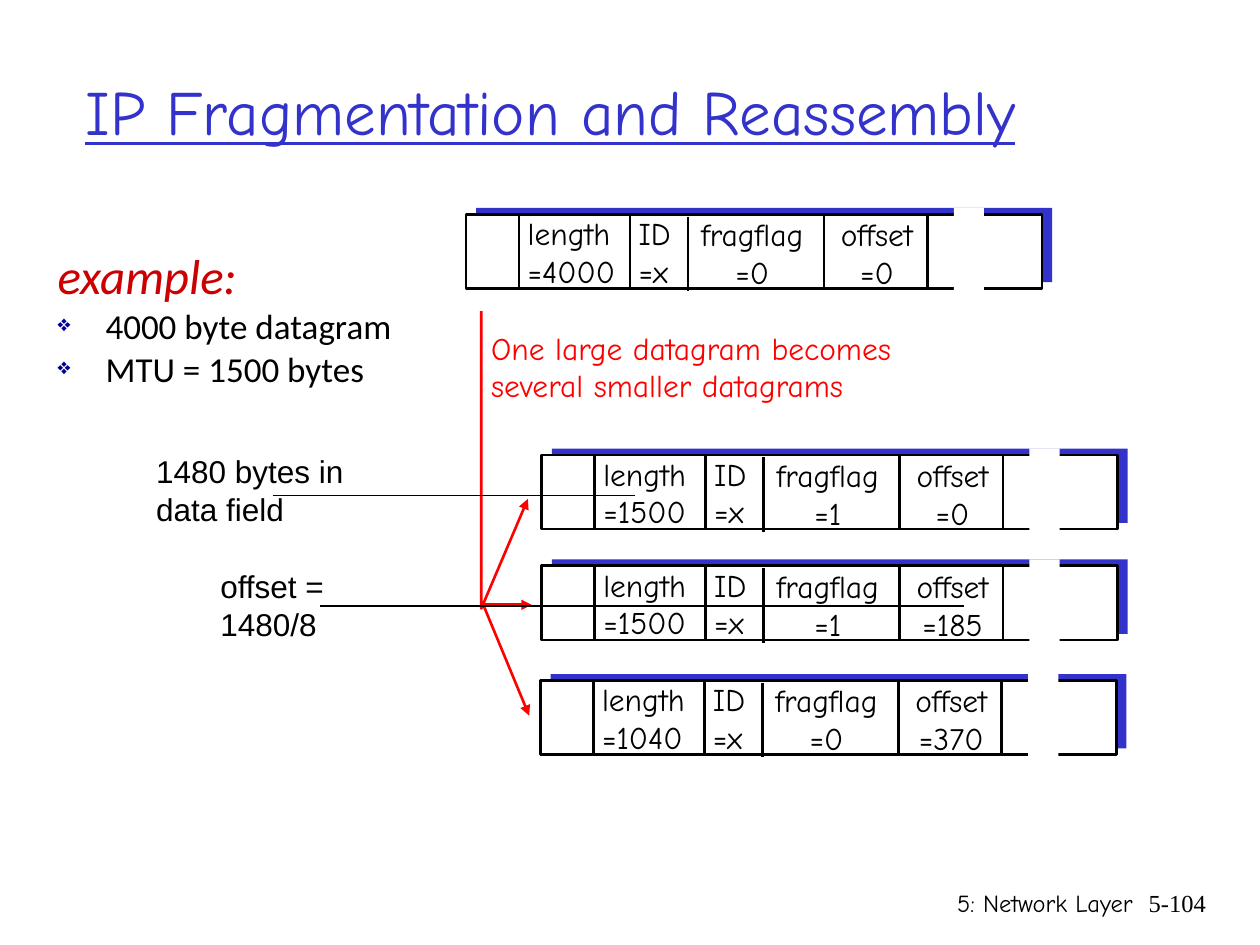
from lxml import etree
from pptx import Presentation
from pptx import util as u
from pptx.dml.color import RGBColor
from pptx.enum import shapes, text
from pptx.oxml import ns

HUES = {"blue": "3333CC", "navy": "000099", "red": "FF0000", "dark": "CC0000",
        "black": "000000", "white": "FFFFFF"}
COMIC = "Comic Neue"
LEFT, MID, RIGHT = text.PP_ALIGN.LEFT, text.PP_ALIGN.CENTER, text.PP_ALIGN.RIGHT


def hue(name):
    return RGBColor.from_string(HUES[name])


def node(base, tag, **attrs):
    return etree.SubElement(base, ns.qn(tag), **attrs)


def style(font, face, size, color):
    font.name, font.size = face, u.Pt(size)
    font.color.rgb = hue(color)


def label(host, box, lines, face=COMIC, size=18, color="black", align=LEFT, wrap=False):
    """Add a text box with one paragraph per line; a newline is a line break."""
    frame = host.add_textbox(*map(u.Inches, box)).text_frame
    frame.word_wrap = wrap
    frame.auto_size = (text.MSO_AUTO_SIZE.NONE if wrap
                       else text.MSO_AUTO_SIZE.SHAPE_TO_FIT_TEXT)
    for i, line in enumerate(lines):
        para = frame.paragraphs[0] if i == 0 else frame.add_paragraph()
        para.alignment = align
        for j, part in enumerate(line.split("\n")):
            if j:
                para.add_line_break()
            run = para.add_run()
            run.text = part
            style(run.font, face, size, color)
    return frame


def block(host, box, fill, edge=None):
    rect = host.add_shape(shapes.MSO_SHAPE.RECTANGLE, *map(u.Inches, box))
    rect.shadow.inherit = False
    rect.fill.solid()
    rect.fill.fore_color.rgb = hue(fill)
    if edge:
        rect.line.color.rgb = hue(edge)
        rect.line.width = u.Pt(1.5)
    else:
        rect.line.fill.background()


def ink(shape, color, width, arrow):
    shape.line.color.rgb = hue(color)
    shape.line.width = u.Pt(width)
    if arrow:
        node(shape.line._get_or_add_ln(), "a:tailEnd", type="triangle")


def rule(host, start, end, color="black", width=1.5, arrow=False):
    line = host.add_connector(shapes.MSO_CONNECTOR.STRAIGHT,
                              *map(u.Inches, (*start, *end)))
    ink(line, color, width, arrow)
    node(line._element.spPr, "a:effectLst")


def title(host, box):
    frame = label(host, box, ["IP Fragmentation and Reassembly"], size=36,
                  color="blue", wrap=True)
    frame.vertical_anchor = text.MSO_ANCHOR.MIDDLE
    frame.paragraphs[0].runs[0].font.underline = True


def packet(slide, x, y, length, flag, offset):
    """Draw one datagram header whose white frame starts at x, y."""
    host = slide.shapes.add_group_shape().shapes
    wide, high = 4.57, 0.59
    block(host, (x + 0.08, y - 0.05, wide, high), "blue")
    block(host, (x, y, wide, high), "white", "black")
    fields = (("ID", "x", 1.27, -0.05, 0.52, LEFT),
              ("offset", offset, 2.78, -0.04, 0.96, MID),
              ("fragflag", flag, 1.69, -0.04, 1.16, MID),
              ("length", length, 0.39, -0.05, 0.93, LEFT))
    for name, value, dx, dy, w, align in fields:
        label(host, (x + dx, y + dy, w, 0.7), [name, f"={value}"], align=align)
    for dx, dy in ((0.42, 0), (1.3, 0), (1.76, 0.02), (2.84, 0), (3.66, 0)):
        rule(host, (x + dx, y + dy), (x + dx, y + dy + high))
    block(host, (x + 3.87, y - 0.05, 0.24, 0.66), "white")


def split(host, x, y):
    """Draw the red stem, its three arrows and the caption beside it."""
    base = y + 2.36
    pen = host.build_freeform(u.Inches(x), u.Inches(y))
    pen.add_line_segments([(u.Inches(x), u.Inches(base)),
                           (u.Inches(x + 0.37), u.Inches(y + 1.49))], close=False)
    stem = pen.convert_to_shape()
    stem.shadow.inherit = False
    stem.fill.background()
    ink(stem, "red", 1.5, True)
    rule(host, (x, base - 0.03), (x + 0.4, base - 0.03), "red", arrow=True)
    rule(host, (x + 0.02, base - 0.02), (x + 0.38, base + 0.85), "red", arrow=True)
    label(host, (x - 0.02, y + 0.09, 3.57, 0.7),
          ["One large datagram becomes", "several smaller datagrams"], color="red")


def facts(host, box):
    """Add the example heading with its bullets."""
    frame = label(host, box, ["example:", "4000 byte datagram", "MTU = 1500 bytes"],
                  "Calibri", 20, wrap=True)
    for i, para in enumerate(frame.paragraphs):
        para.line_spacing = 0.85
        props = para._p.get_or_add_pPr()
        props.set("marL", str(u.Inches(0.38)))
        props.set("indent", str(-u.Inches(0.38)))
        if i == 0:
            font = para.runs[0].font
            style(font, "Calibri", 28, "dark")
            font.italic = True
            continue
        para.space_before = u.Pt(4)
        node(node(props, "a:buClr"), "a:srgbClr", val=HUES["navy"])
        node(props, "a:buSzPct", val="65000")
        node(props, "a:buChar", char="❖")


def notes(host, x, y):
    """Add the two remarks and the thin lines that lead from them."""
    label(host, (x, y, 1.76, 0.7), ["1480 bytes in \ndata field"], "Arial")
    label(host, (x + 0.51, y + 0.91, 1.03, 0.7), ["offset =", "1480/8"], "Arial")
    rule(host, (x + 1.03, y + 0.39), (x + 3.9, y + 0.39), width=0.75)
    rule(host, (x + 6.51, y + 1.27), (x + 1.4, y + 1.27), width=0.75)


def footer(host, y):
    label(host, (5.92, y, 3.17, 0.5), ["5: Network Layer"], size=14,
          align=RIGHT, wrap=True)
    label(host, (8.93, y, 0.74, 0.5), ["5-104"], "Times New Roman", 14,
          align=RIGHT, wrap=True)


def main():
    deck = Presentation()
    deck.slide_width, deck.slide_height = u.Inches(10), u.Inches(7.5)
    slide = deck.slides.add_slide(deck.slide_layouts[6])
    host = slide.shapes
    title(host, (0.58, 0.25, 8.5, 1.25))
    for row in ((3.7, 1.7, 4000, 0, 0), (4.3, 3.61, 1500, 1, 0),
                (4.3, 4.49, 1500, 1, 185), (4.29, 5.4, 1040, 0, 370)):
        packet(slide, *row)
    split(host, 3.82, 2.47)
    facts(host, (0.36, 1.97, 3.1, 1.84))
    notes(host, 1.14, 3.54)
    footer(host, 7)
    deck.save("out.pptx")


if __name__ == "__main__":
    main()
